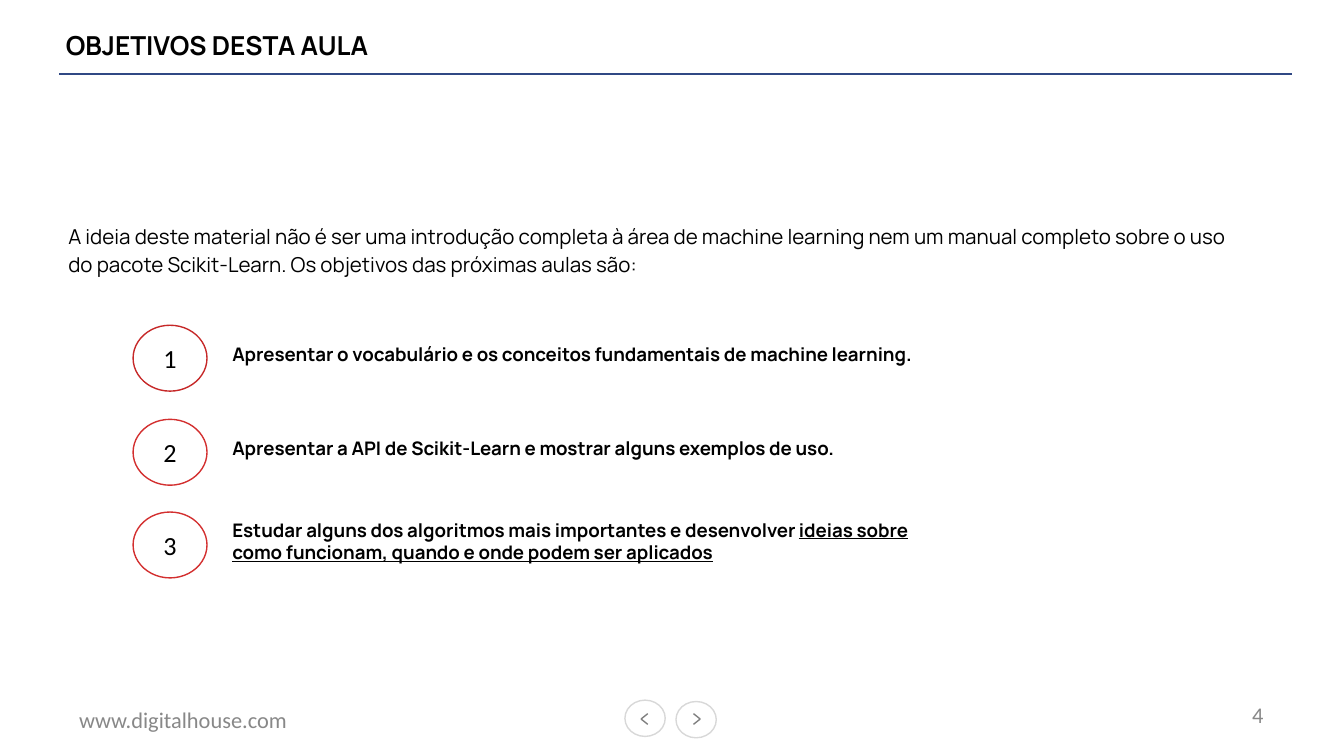
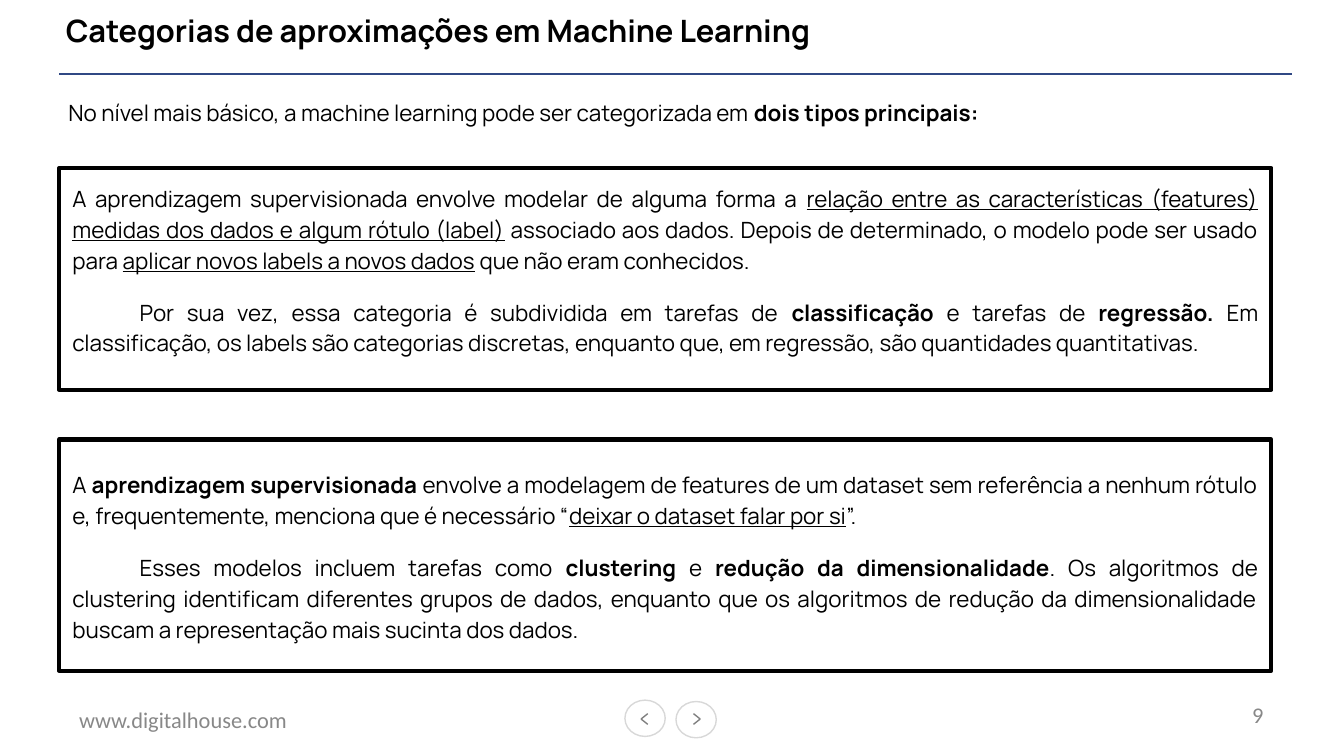
from lxml.etree import SubElement
from pptx import Presentation
from pptx.dml.color import RGBColor
from pptx.enum.shapes import MSO_CONNECTOR, MSO_SHAPE
from pptx.enum.text import MSO_ANCHOR, PP_ALIGN
from pptx.oxml.ns import qn
from pptx.util import Inches, Pt

COLORS = {
    "black": "000000",
    "white": "FFFFFF",
    "rule": "304884",
    "footer": "888888",
    "button": "D8D8D8",
    "chevron": "7F7F7F",
    "red": "D32F2F",
    "dark_red": "C62828",
}

BOLD = {"bold": True}
UNDERLINE = {"underline": True}
TITLE = {"name": "Manrope", "size": Pt(14), "bold": True}
BODY = {"name": "Manrope", "size": Pt(12)}
INTRO = {"name": "Manrope", "size": Pt(11)}
GOAL = {"name": "Manrope", "size": Pt(10), "bold": True}
FOOTER = {"name": "Calibri", "size": Pt(12)}
NUMBER = {"name": "Calibri", "size": Pt(14)}

JUSTIFIED = {"alignment": PP_ALIGN.JUSTIFY, "line_spacing": 1.15}
NO_INSET = (0, 0)
SMALL_INSET = (0.1, 0.05)
WIDE_INSET = (0.1, 0.1)

GOALS = [
    ("dark_red", 2.42, (2.5, 7.09, 0.25),
     ["Apresentar o vocabulário e os conceitos fundamentais de machine learning."]),
    ("red", 3.12, (3.2, 7.38, 0.3),
     ["Apresentar a API de Scikit-Learn e mostrar alguns exemplos de uso."]),
    ("red", 3.81, (3.81, 5.28, 0.49),
     ["Estudar alguns dos algoritmos mais importantes e desenvolver ",
      ("ideias sobre como funcionam, quando e onde podem ser aplicados", UNDERLINE)]),
]

SUPERVISED = [
    ["A aprendizagem supervisionada envolve modelar de alguma forma a ",
     ("relação entre as características (features) medidas dos dados e algum rótulo (label)",
      UNDERLINE),
     " associado aos dados. Depois de determinado, o modelo pode ser usado para ",
     ("aplicar novos labels a novos dados", UNDERLINE),
     " que não eram conhecidos."],
    ["Por sua vez, essa categoria é subdividida em tarefas de ",
     ("classificação", BOLD),
     " e tarefas de ",
     ("regressão. ", BOLD),
     "Em classificação, os labels são categorias discretas, enquanto que, em regressão, "
     "são quantidades quantitativas."],
]

UNSUPERVISED = [
    ["A ",
     ("aprendizagem supervisionada", BOLD),
     " envolve a modelagem de features de um dataset sem referência a nenhum rótulo e, "
     "frequentemente, menciona que é necessário “",
     ("deixar o dataset falar por si", UNDERLINE),
     "”."],
    ["Esses modelos incluem tarefas como ",
     ("clustering", BOLD),
     " e ",
     ("redução da dimensionalidade", BOLD),
     ". Os algoritmos de clustering identificam diferentes grupos de dados, enquanto que "
     "os algoritmos de redução da dimensionalidade buscam a representação mais sucinta "
     "dos dados."],
]


def rgb(color):
    return RGBColor.from_string(COLORS[color])


def set_attrs(obj, values):
    for name, value in values.items():
        setattr(obj, name, value)


def write_text(sp, paragraphs, font, color="black", para=None,
               anchor=MSO_ANCHOR.MIDDLE, inset=SMALL_INSET):
    tf = sp.text_frame
    x, y = (Inches(v) for v in inset)
    set_attrs(tf, {"word_wrap": True, "vertical_anchor": anchor,
                   "margin_left": x, "margin_right": x,
                   "margin_top": y, "margin_bottom": y})
    for i, runs in enumerate(paragraphs):
        p = tf.add_paragraph() if i else tf.paragraphs[0]
        set_attrs(p, para or {})
        if i:
            p.space_before = Pt(11)
            p._p.get_or_add_pPr().set("indent", str(Inches(0.5)))
        for run in runs:
            text, extra = (run, {}) if isinstance(run, str) else run
            r = p.add_run()
            r.text = text
            set_attrs(r.font, {**font, **extra})
            r.font.color.rgb = rgb(color)


def add_text(s, box, paragraphs, font, **options):
    sp = s.shapes.add_textbox(*(Inches(v) for v in box))
    write_text(sp, paragraphs, font, **options)


def add_outline(s, kind, box, line, width=0.75, fill=None):
    sp = s.shapes.add_shape(kind, *(Inches(v) for v in box))
    sp.shadow.inherit = False
    if fill:
        sp.fill.solid()
        sp.fill.fore_color.rgb = rgb(fill)
    else:
        sp.fill.background()
    sp.line.color.rgb = rgb(line)
    sp.line.width = Pt(width)
    return sp


def add_line(s, x1, y1, x2, y2, color):
    cx = s.shapes.add_connector(MSO_CONNECTOR.STRAIGHT,
                                *(Inches(v) for v in (x1, y1, x2, y2)))
    cx.line.color.rgb = rgb(color)
    cx.line.width = Pt(0.75)
    SubElement(cx._element.spPr, qn("a:effectLst"))


def add_slide(prs, title, title_top, title_size, number):
    s = prs.slides.add_slide(prs.slide_layouts[6])
    add_line(s, 9.61, 0.55, 0.44, 0.55, "rule")
    add_text(s, (0.49, 5.22, 2.33, 0.27), [["www.digitalhouse.com"]], FOOTER, color="footer")
    for left, top, tip, dx in ((4.65, 5.21, 4.77, 0.05), (5.03, 5.22, 5.21, -0.05)):
        add_outline(s, MSO_SHAPE.OVAL, (left, top, 0.3, 0.27), "button", fill="white")
        for dy in (-0.04, 0.04):
            add_line(s, tip, 5.35, tip + dx, 5.35 + dy, "chevron")
    add_text(s, (0.49, title_top, 6.67, 0.39), [[title]],
             {**TITLE, "size": Pt(title_size)}, inset=NO_INSET)
    add_text(s, (7.17, 5.17, 2.33, 0.3), [[number]], FOOTER, color="footer",
             para={"alignment": PP_ALIGN.RIGHT})
    return s


def add_goal(s, number, color, top, text_box, runs):
    sp = add_outline(s, MSO_SHAPE.OVAL, (0.99, top, 0.55, 0.49), color)
    write_text(sp, [[str(number)]], NUMBER, para={"alignment": PP_ALIGN.CENTER})
    add_text(s, (1.63, *text_box), [runs], GOAL, anchor=MSO_ANCHOR.TOP)


def add_category(s, top, height, paragraphs, anchor):
    sp = add_outline(s, MSO_SHAPE.RECTANGLE, (0.44, top, 9.02, height), "black", 2.25)
    write_text(sp, paragraphs, BODY, para=JUSTIFIED, anchor=anchor, inset=WIDE_INSET)


def build_goals(prs):
    s = add_slide(prs, "OBJETIVOS DESTA AULA", 0.14, 14, "4")
    for number, goal in enumerate(GOALS, 1):
        add_goal(s, number, *goal)
    add_text(s, (0.41, 1.54, 9.02, 0.62),
             [["A ideia deste material não é ser uma introdução completa à área de machine "
               "learning nem um manual completo sobre o uso do pacote Scikit-Learn. "
               "Os objetivos das próximas aulas são:"]],
             INTRO, para={"line_spacing": 1.15}, anchor=MSO_ANCHOR.TOP, inset=WIDE_INSET)


def build_categories(prs):
    s = add_slide(prs, "Categorias de aproximações em Machine Learning", 0.03, 16.5, "9")
    add_category(s, 1.25, 1.65, SUPERVISED, MSO_ANCHOR.TOP)
    add_category(s, 3.27, 1.72, UNSUPERVISED, MSO_ANCHOR.MIDDLE)
    add_text(s, (0.41, 0.53, 9.38, 0.59),
             [["No nível mais básico, a machine learning pode ser categorizada em ",
               ("dois tipos principais:", BOLD)]],
             BODY, para=JUSTIFIED, inset=WIDE_INSET)


def main():
    prs = Presentation()
    prs.slide_width = Inches(10)
    prs.slide_height = Inches(10 * 9 / 16)
    build_goals(prs)
    build_categories(prs)
    prs.save("out.pptx")


if __name__ == "__main__":
    main()
